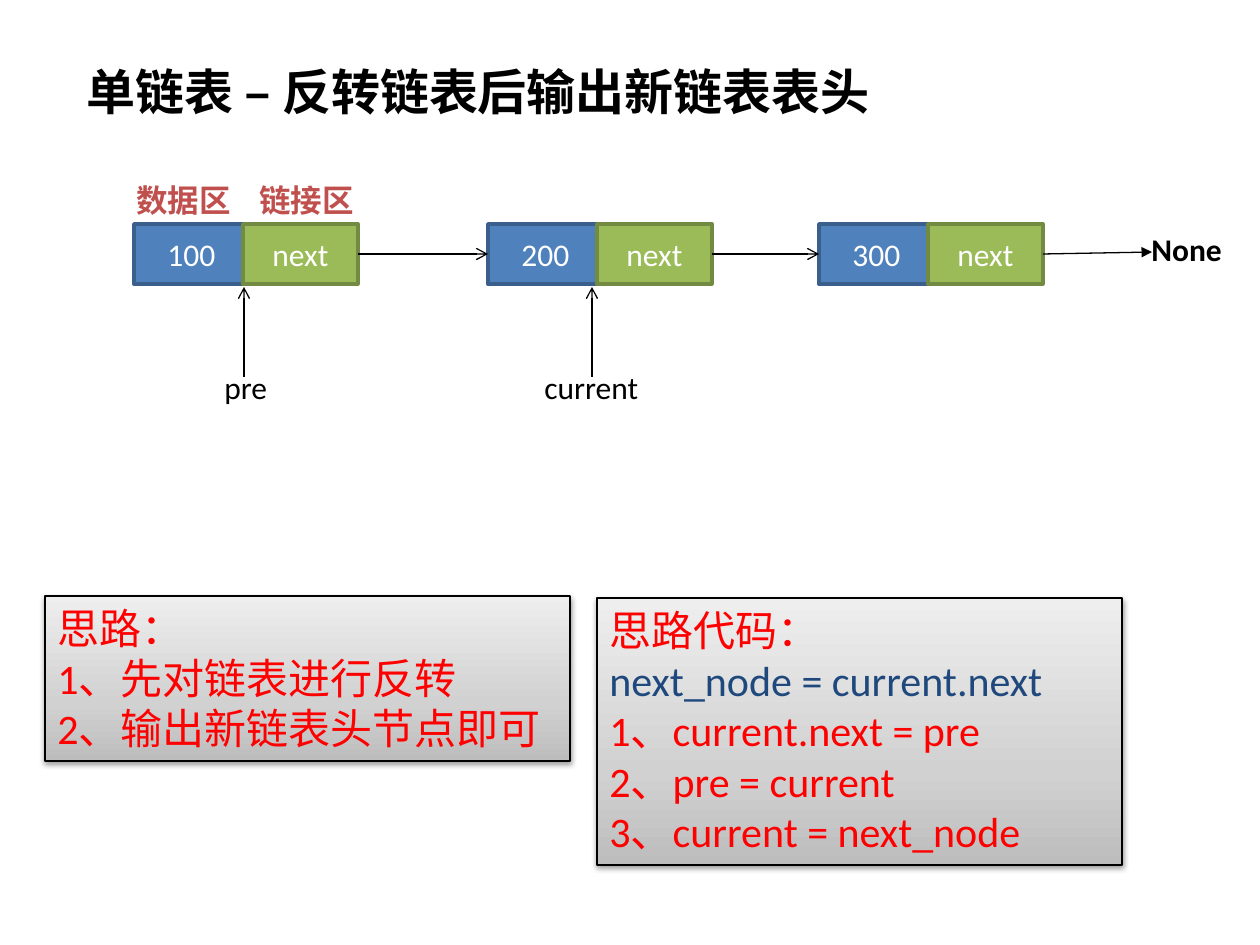
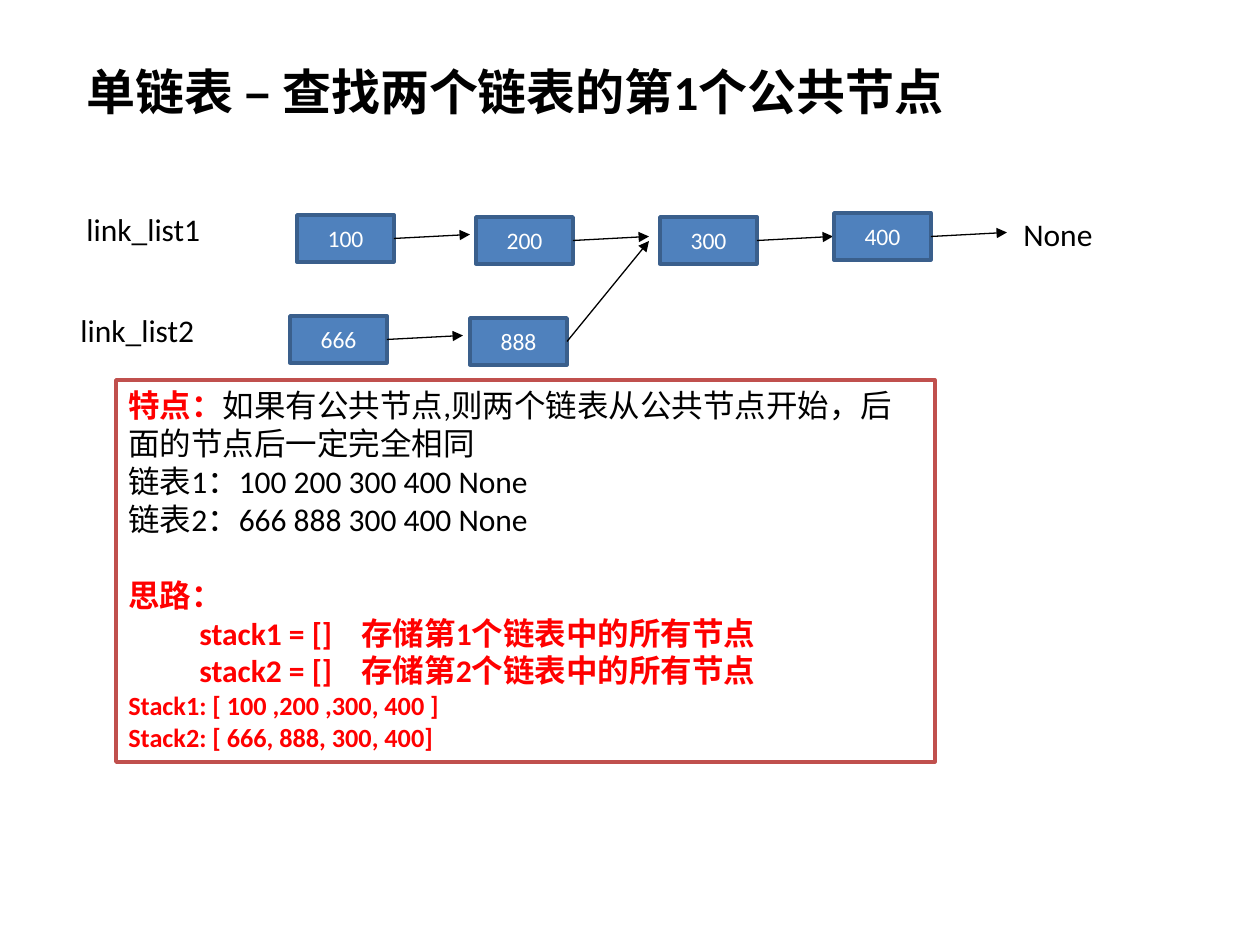
from dataclasses import dataclass
from lxml.etree import SubElement
from pptx import Presentation
from pptx.dml.color import RGBColor
from pptx.enum.shapes import MSO_CONNECTOR, MSO_SHAPE
from pptx.enum.text import MSO_ANCHOR, MSO_AUTO_SIZE, PP_ALIGN
from pptx.oxml import parse_xml
from pptx.oxml.ns import nsdecls, qn
from pptx.util import Emu, Pt


@dataclass(frozen=True)
class Theme:
    font: str = "Calibri"
    black: str = "000000"
    white: str = "FFFFFF"
    red: str = "FF0000"
    navy: str = "1F497D"
    brick: str = "C0504D"
    data: tuple = ("4F81BD", "3A5F8C")
    link: tuple = ("9BBB59", "738A42")
    gradient: tuple = ((0, "BDBDBD"), (35, "D1D1D1"), (100, "EEEEEE"))
    title_size: float = 28
    panel_size: float = 24
    text_size: float = 18
    stack_size: float = 15
    node_size: float = 13.5
    border: float = 2
    hairline: float = 0.75


THEME = Theme()
PIXELS_PER_INCH = 126
LABEL_HEIGHT = 50


def px(length):
    return Emu(round(length * 914400 / PIXELS_PER_INCH))


def rgb(color):
    return RGBColor.from_string(color)


def set_attributes(target, values):
    for name, value in values.items():
        setattr(target, name, value)


def place(shape, box):
    set_attributes(shape, dict(zip(("left", "top", "width", "height"), map(px, box))))


def write(paragraph, text, size, color, bold=False):
    run = paragraph.add_run()
    run.text = text
    set_attributes(run.font, {"name": THEME.font, "size": Pt(size), "bold": bold})
    run.font.color.rgb = rgb(color)


def format_frame(frame, anchor=MSO_ANCHOR.TOP):
    set_attributes(frame, {"word_wrap": True, "auto_size": MSO_AUTO_SIZE.NONE,
                           "vertical_anchor": anchor})
    return frame


def add_paragraph(frame, first, align=PP_ALIGN.LEFT):
    paragraph = frame.paragraphs[0] if first else frame.add_paragraph()
    paragraph.alignment = align
    return paragraph


def add_title(slide, text, box):
    title = slide.shapes.title
    place(title, box)
    frame = format_frame(title.text_frame)
    write(add_paragraph(frame, True), text, THEME.title_size, THEME.black, True)


def add_label(slide, text, left, top, width=130, color=THEME.black, bold=False):
    label = slide.shapes.add_textbox(*map(px, (left, top, width, LABEL_HEIGHT)))
    frame = format_frame(label.text_frame)
    write(add_paragraph(frame, True), text, THEME.text_size, color, bold)


def add_rectangle(slide, box, fill, line, width):
    shape = slide.shapes.add_shape(MSO_SHAPE.RECTANGLE, *map(px, box))
    shape.shadow.inherit = False
    shape.fill.solid()
    shape.fill.fore_color.rgb = rgb(fill)
    shape.line.color.rgb = rgb(line)
    shape.line.width = Pt(width)
    return shape


def add_cell(slide, text, box, colors, size):
    shape = add_rectangle(slide, box, *colors, THEME.border)
    frame = format_frame(shape.text_frame, MSO_ANCHOR.MIDDLE)
    write(add_paragraph(frame, True, PP_ALIGN.CENTER), text, size, THEME.white)


def add_arrow(slide, start, end, head="triangle"):
    arrow = slide.shapes.add_connector(MSO_CONNECTOR.STRAIGHT, *map(px, (*start, *end)))
    arrow.line.color.rgb = rgb(THEME.black)
    arrow.line.width = Pt(THEME.hairline)
    SubElement(arrow.line._get_or_add_ln(), qn("a:tailEnd"), type=head)
    SubElement(arrow._element.spPr, qn("a:effectLst"))


def add_linked_nodes(slide, box):
    left, top, width, height = box
    cell_width, link_offset = 115, 109
    middle = top + height / 2
    starts = [left, left + 354, left + 685]
    for start, value in zip(starts, ("100", "200", "300")):
        for offset, text, colors in ((0, value, THEME.data), (link_offset, "next", THEME.link)):
            add_cell(slide, text, (start + offset, top, cell_width, height), colors, THEME.text_size)
    for start, following in zip(starts, starts[1:]):
        add_arrow(slide, (start + link_offset + cell_width, middle), (following, middle), "arrow")
    add_arrow(slide, (starts[-1] + link_offset + cell_width, middle), (left + width, middle - 2))
    add_label(slide, "None", left + width - 13, top, 115, bold=True)
    for offset, text in ((-10, "数据区"), (113, "链接区")):
        add_label(slide, text, left + offset, top - 49, color=THEME.brick, bold=True)
    for offset, text, text_offset in ((110, "pre", -32), (458, "current", -60)):
        pointer = left + offset
        add_arrow(slide, (pointer, top + 153), (pointer, top + 63), "arrow")
        add_label(slide, text, pointer + text_offset, top + 138)


def add_panel(slide, box, lines):
    panel = add_rectangle(slide, box, THEME.white, THEME.black, THEME.hairline)
    properties = panel._element.spPr
    stops = "".join(f'<a:gs pos="{position * 1000}"><a:srgbClr val="{color}"/></a:gs>'
                    for position, color in THEME.gradient)
    gradient = parse_xml(f'<a:gradFill {nsdecls("a")} rotWithShape="1"><a:gsLst>{stops}</a:gsLst>'
                         '<a:lin ang="16200000" scaled="0"/></a:gradFill>')
    properties.replace(properties.find(qn("a:solidFill")), gradient)
    effects = properties.find(qn("a:effectLst"))
    shadow = SubElement(effects, qn("a:outerShdw"), blurRad="40000", dist="20000",
                        dir="5400000", rotWithShape="0")
    color = SubElement(shadow, qn("a:srgbClr"), val=THEME.black)
    SubElement(color, qn("a:alpha"), val="38000")
    frame = format_frame(panel.text_frame)
    for index, (text, text_color) in enumerate(lines):
        write(add_paragraph(frame, index == 0), text, THEME.panel_size, text_color)


def add_node_chain(slide, name, box, nodes, target):
    left, top, width, height = box
    node_width, reach, rise = 97, 76, 4
    add_label(slide, name, left, top - 11, 160)
    for index, (value, offset, drop) in enumerate(nodes):
        node_left, node_top = left + offset, top + drop
        add_cell(slide, value, (node_left, node_top, node_width, height), THEME.data, THEME.node_size)
        start = (node_left + node_width, node_top + height / 2)
        end = (start[0] + reach, start[1] - rise)
        add_arrow(slide, start, target if target and index == len(nodes) - 1 else end)
    if not target:
        add_label(slide, "None", left + width, top - 6, 115)


def add_notes_box(slide, box, paragraphs, tab_stops):
    shape = add_rectangle(slide, box, THEME.white, THEME.brick, THEME.border)
    frame = format_frame(shape.text_frame)
    for index, (runs, space_before) in enumerate(paragraphs):
        paragraph = add_paragraph(frame, index == 0)
        if space_before:
            paragraph.space_before = Pt(space_before)
        if "\t" in runs[0][0]:
            tabs = SubElement(paragraph._p.get_or_add_pPr(), qn("a:tabLst"))
            for stop in tab_stops:
                SubElement(tabs, qn("a:tab"), pos=str(px(stop)), algn="l")
        for run in runs:
            write(paragraph, *run)


def build_reverse_slide(slide):
    add_title(slide, "单链表 – 反转链表后输出新链表表头", (74, 55, 838, 72))
    add_linked_nodes(slide, (134, 224, 1018, 60))
    add_panel(slide, (45, 596, 525, 165), [
        (text, THEME.red) for text in ("思路：", "1、先对链表进行反转", "2、输出新链表头节点即可")])
    add_panel(slide, (597, 598, 525, 267), [
        ("思路代码：", THEME.red),
        ("next_node = current.next", THEME.navy),
        ("1、current.next = pre", THEME.red),
        ("2、pre = current", THEME.red),
        ("3、current = next_node", THEME.red)])


def build_common_node_slide(slide):
    add_title(slide, "单链表 – 查找两个链表的第1个公共节点", (74, 55, 893, 72))
    add_node_chain(slide, "link_list1", (74, 215, 937, 47), [
        ("100", 223, 0), ("200", 402, 2), ("300", 586, 2), ("400", 760, -2)], None)
    add_node_chain(slide, "link_list2", (68, 316, 500, 47), [
        ("666", 222, 0), ("888", 402, 2)], (649, 241))
    plain = (THEME.text_size, THEME.black)
    strong = (THEME.text_size, THEME.red, True)
    stack = (THEME.stack_size, THEME.red, True)
    add_notes_box(slide, (116, 380, 819, 382), [
        ([("特点：", *strong),
          ("如果有公共节点,则两个链表从公共节点开始，后面的节点后一定完全相同", *plain)], 0),
        ([("链表1：100 200 300 400 None", *plain)], 0),
        ([("链表2：666 888 300 400 None", *plain)], 0),
        ([("思路：", *strong)], 22),
        ([("\tstack1 = []\t存储第1个链表中的所有节点", *strong)], 0),
        ([("\tstack2 = []\t存储第2个链表中的所有节点", *strong)], 0),
        ([("Stack1: [ 100 ,200 ,300, 400 ]", *stack)], 0),
        ([("Stack2: [ 666, 888, 300, 400]", *stack)], 0)], (71, 233))


presentation = Presentation()
presentation.slide_width, presentation.slide_height = px(1260), px(945)
title_only = presentation.slide_layouts[5]
for build in (build_reverse_slide, build_common_node_slide):
    build(presentation.slides.add_slide(title_only))
presentation.save("out.pptx")
